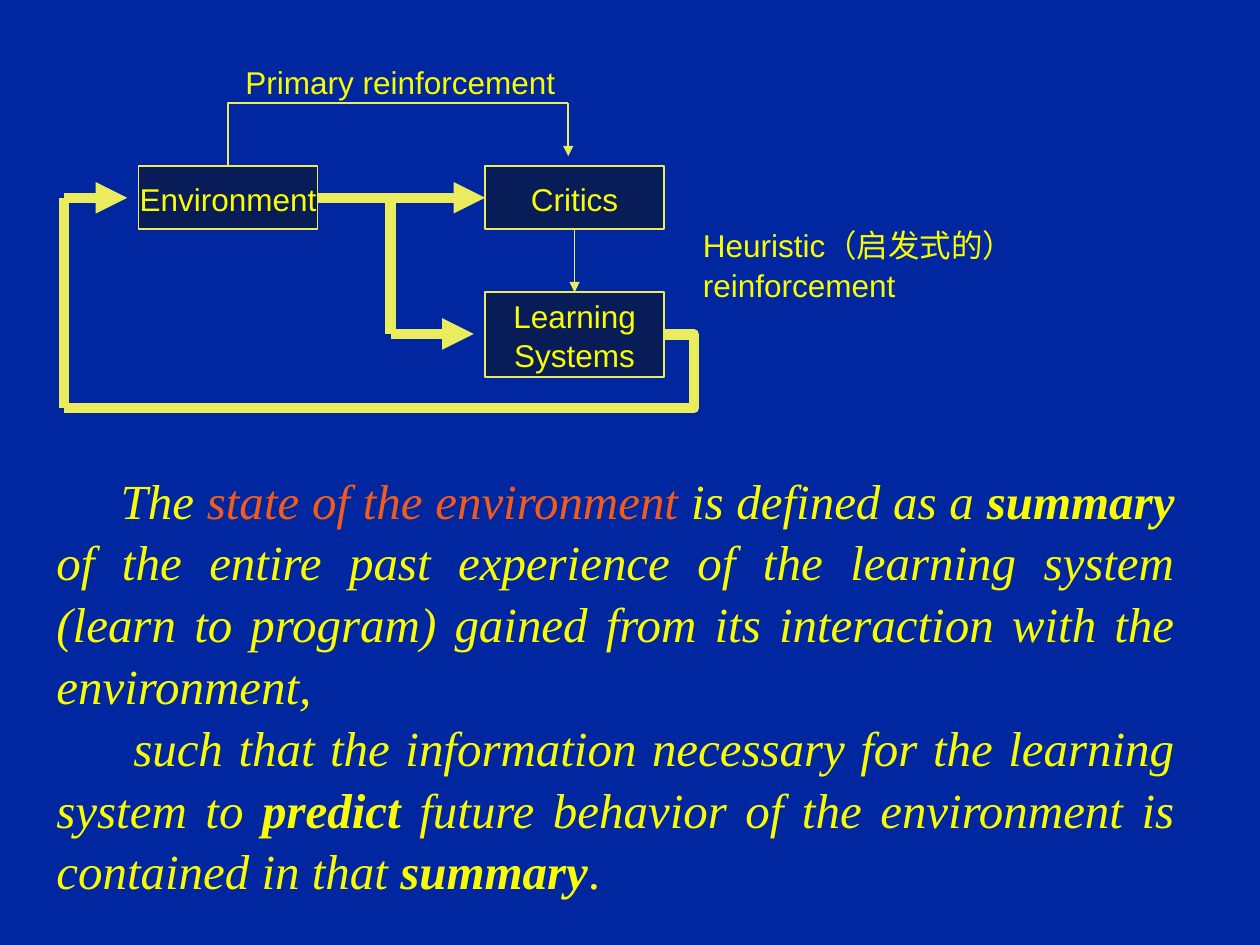
from lxml import etree
from pptx import Presentation
from pptx import util as u
from pptx.dml.color import RGBColor
from pptx.enum import shapes, text
from pptx.oxml import ns

COLORS = {
    "background": "00279F",
    "box": "081D58",
    "line": "EAEC5E",
    "text": "FAFD00",
    "accent": "F35B1B",
}
TOP, LEFT, BOTTOM, RIGHT = range(4)
THIN, THICK = 1, 6
LINE_SPACING = 1.05


def color(name):
    return RGBColor.from_string(COLORS[name])


def add_run(p, content, size, font, fill="text", bold=False, italic=False):
    r = p.add_run()
    r.text = content
    r.font.size = u.Pt(size)
    r.font.name = font
    r.font.bold = bold
    r.font.italic = italic
    r.font.color.rgb = color(fill)


def add_lines(tf, lines, align):
    tf.word_wrap = False
    for i, line in enumerate(lines):
        p = tf.add_paragraph() if i else tf.paragraphs[0]
        p.alignment = align
        p.line_spacing = LINE_SPACING
        add_run(p, line, 18, "Arial")


def add_box(s, left, top, height, *lines):
    sp = s.shapes.add_shape(
        shapes.MSO_SHAPE.RECTANGLE,
        u.Inches(left), u.Inches(top), u.Inches(1.42), u.Inches(height))
    sp.shadow.inherit = False
    sp.fill.solid()
    sp.fill.fore_color.rgb = color("box")
    sp.line.color.rgb = color("line")
    sp.line.width = u.Pt(THIN)
    sp.text_frame.vertical_anchor = text.MSO_ANCHOR.MIDDLE
    add_lines(sp.text_frame, lines, text.PP_ALIGN.CENTER)
    return sp


def add_label(s, left, top, width, height, *lines):
    sp = s.shapes.add_textbox(
        u.Inches(left), u.Inches(top), u.Inches(width), u.Inches(height))
    add_lines(sp.text_frame, lines, text.PP_ALIGN.LEFT)


def add_link(s, start, end, width, arrow=False, bend=None, begin=None, finish=None):
    kind = shapes.MSO_CONNECTOR.STRAIGHT if bend is None else shapes.MSO_CONNECTOR.ELBOW
    c = s.shapes.add_connector(kind, *(u.Inches(v) for v in start + end))
    if begin:
        c.begin_connect(*begin)
    if finish:
        c.end_connect(*finish)
    c.line.color.rgb = color("line")
    c.line.width = u.Pt(width)
    if arrow:
        etree.SubElement(c.line._get_or_add_ln(), ns.qn("a:tailEnd"), type="triangle")
    props = c._element.spPr
    etree.SubElement(props, ns.qn("a:effectLst"))
    if bend is not None:
        guides = props.find(ns.qn("a:prstGeom")).get_or_add_avLst()
        etree.SubElement(guides, ns.qn("a:gd"), name="adj1", fmla=f"val {round(bend * 100000)}")


def add_definition(s):
    sp = s.shapes.add_textbox(u.Inches(0.35), u.Inches(3.66), u.Inches(9.07), u.Inches(3.37))
    tf = sp.text_frame
    tf.word_wrap = True
    bold = {"bold": True}
    paragraphs = [
        (0.51, [
            ("The ", {}),
            ("state of the environment", {"fill": "accent"}),
            (" is defined as a ", {}),
            ("summary", bold),
            (" of the entire past experience of the learning system (learn to program) "
             "gained from its interaction with the environment, ", {}),
        ]),
        (0.61, [
            ("such that the information necessary for the learning system to ", {}),
            ("predict ", bold),
            ("future behavior of the environment is contained in that ", {}),
            ("summary", bold),
            (".", {"italic": False}),
        ]),
    ]
    for i, (indent, runs) in enumerate(paragraphs):
        p = tf.add_paragraph() if i else tf.paragraphs[0]
        p.alignment = text.PP_ALIGN.JUSTIFY
        p.line_spacing = LINE_SPACING
        p._p.get_or_add_pPr().set("indent", str(u.Inches(indent)))
        for content, style in runs:
            add_run(p, content, 28, "Times New Roman", **{"italic": True, **style})


def add_diagram(s):
    environment = add_box(s, 1.1, 1.32, 0.5, "Environment")
    critics = add_box(s, 3.85, 1.32, 0.5, "Critics")
    learning = add_box(s, 3.85, 2.32, 0.67, "Learning", "Systems")

    add_link(s, (2.52, 1.57), (3.85, 1.57), THICK, arrow=True,
             begin=(environment, RIGHT), finish=(critics, LEFT))
    add_link(s, (3.1, 1.57), (3.1, 2.65), THICK)
    add_link(s, (3.1, 2.65), (3.76, 2.65), THICK, arrow=True)

    add_link(s, (5.27, 2.65), (0.51, 3.24), THICK, bend=-0.05, begin=(learning, RIGHT))
    add_link(s, (0.51, 3.24), (0.51, 1.57), THICK)
    add_link(s, (0.51, 1.57), (1.01, 1.57), THICK, arrow=True)

    add_link(s, (1.81, 1.32), (4.51, 0.82), THIN, bend=0, begin=(environment, TOP))
    add_link(s, (4.51, 0.82), (4.51, 1.24), THIN, arrow=True)
    add_link(s, (4.56, 1.82), (4.56, 2.32), THIN, arrow=True,
             begin=(critics, BOTTOM), finish=(learning, TOP))

    add_label(s, 1.85, 0.44, 2.66, 0.4, "Primary reinforcement")
    add_label(s, 5.48, 1.73, 2.73, 0.7, "Heuristic（启发式的）", "reinforcement")


def main():
    prs = Presentation()
    prs.slide_width, prs.slide_height = u.Inches(10), u.Inches(7.5)
    s = prs.slides.add_slide(prs.slide_layouts[6])
    s.background.fill.solid()
    s.background.fill.fore_color.rgb = color("background")
    add_diagram(s)
    add_definition(s)
    prs.save("out.pptx")


if __name__ == "__main__":
    main()
